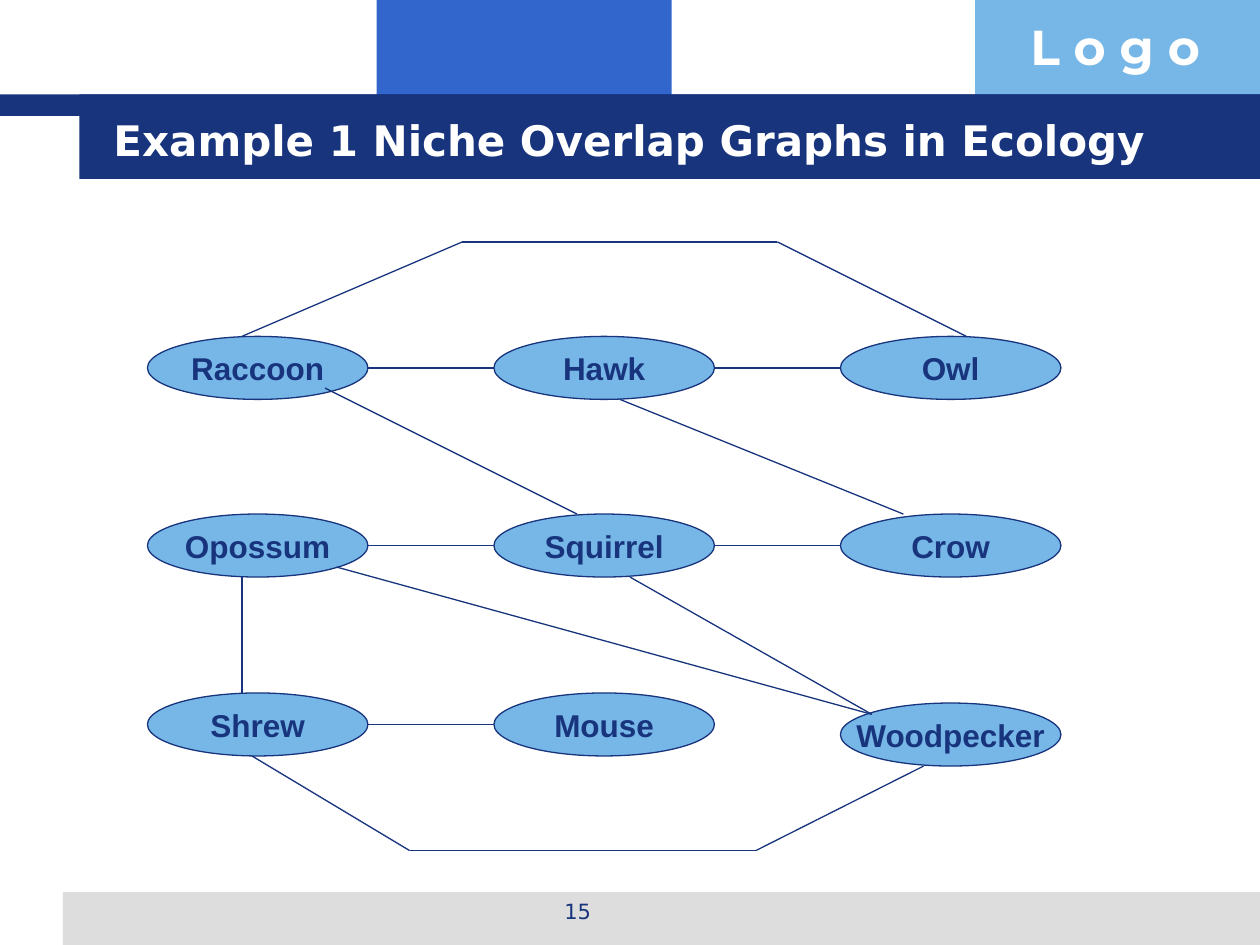
from lxml.etree import SubElement
from pptx import Presentation
from pptx.dml.color import RGBColor
from pptx.enum.shapes import MSO_CONNECTOR, MSO_SHAPE
from pptx.enum.text import MSO_ANCHOR, MSO_AUTO_SIZE, PP_ALIGN
from pptx.oxml.ns import qn
from pptx.util import Inches, Pt

COLORS = {
    "navy": "17347D",
    "blue": "3366CC",
    "sky": "77B7E7",
    "gray": "DDDDDD",
    "white": "FFFFFF",
}

BANDS = [
    ("blue", 2.99, 0, 2.34, 0.92),
    ("sky", 7.74, 0, 2.26, 0.92),
    ("gray", 0.5, 7.08, 9.5, 0.42),
    ("navy", 0, 0.75, 10, 0.17),
    ("navy", 0.63, 0.75, 9.37, 0.67),
]

COLUMN_LEFTS = [1.17, 3.92, 6.67]
ROW_TOPS = [2.67, 4.08, 5.5]
NODE_WIDTH, NODE_HEIGHT = 1.75, 0.5
SPECIES = [
    ["Raccoon", "Hawk", "Owl"],
    ["Opossum", "Squirrel", "Crow"],
    ["Shrew", "Mouse", "Woodpecker"],
]
LOWERED_TOPS = {"Woodpecker": 5.58}

ROW_LINKS = [(0, 0), (0, 1), (1, 0), (1, 1), (2, 0)]
OVERLAP_ROUTES = [
    [(1.92, 2.67), (3.67, 1.92), (6.17, 1.92), (7.67, 2.67)],
    [(2.58, 3.08), (4.58, 4.08)],
    [(4.92, 3.17), (7.17, 4.08)],
    [(1.92, 4.58), (1.92, 5.5)],
    [(2.67, 4.5), (6.92, 5.67)],
    [(5, 4.58), (6.92, 5.67)],
    [(2, 6), (3.25, 6.75), (6, 6.75), (7.33, 6.08)],
]


def color(name):
    return RGBColor.from_string(COLORS[name])


def write_text(shape, text, font_name, size, color_name, bold=False, align=PP_ALIGN.LEFT):
    para = shape.text_frame.paragraphs[0]
    para.text = text
    para.alignment = align
    para.font.name = font_name
    para.font.size = Pt(size)
    para.font.bold = bold
    para.font.color.rgb = color(color_name)


def add_band(slide, fill, left, top, width, height):
    band = slide.shapes.add_shape(
        MSO_SHAPE.RECTANGLE, Inches(left), Inches(top), Inches(width), Inches(height))
    band.shadow.inherit = False
    band.fill.solid()
    band.fill.fore_color.rgb = color(fill)
    band.line.fill.background()


def add_label(slide, left, top, width, height, *text_style, **text_options):
    box = slide.shapes.add_textbox(Inches(left), Inches(top), Inches(width), Inches(height))
    box.text_frame.word_wrap = True
    write_text(box, *text_style, **text_options)


def place_title(slide, text):
    title = slide.shapes.title
    title.left, title.top = Inches(0.8), Inches(0.8)
    title.width, title.height = Inches(8.53), Inches(0.62)
    title.text_frame.auto_size = MSO_AUTO_SIZE.NONE
    title.text_frame.vertical_anchor = MSO_ANCHOR.MIDDLE
    write_text(title, text, "DejaVu Sans", 24, "white", bold=True)
    tree = title.element.getparent()
    tree.append(title.element)


def add_species(slide, name, left, top):
    node = slide.shapes.add_shape(
        MSO_SHAPE.OVAL, Inches(left), Inches(top), Inches(NODE_WIDTH), Inches(NODE_HEIGHT))
    node.shadow.inherit = False
    node.fill.solid()
    node.fill.fore_color.rgb = color("sky")
    node.line.color.rgb = color("navy")
    node.line.width = Pt(0.75)
    node.text_frame.word_wrap = False
    node.text_frame.vertical_anchor = MSO_ANCHOR.MIDDLE
    write_text(node, name, "Arial", 18, "navy", bold=True, align=PP_ALIGN.CENTER)


def add_line(slide, start, end):
    line = slide.shapes.add_connector(
        MSO_CONNECTOR.STRAIGHT, *(Inches(value) for value in (*start, *end)))
    line.line.color.rgb = color("navy")
    line.line.width = Pt(0.75)
    SubElement(line.element.spPr, qn("a:effectLst"))


def add_route(slide, points):
    for start, end in zip(points, points[1:]):
        add_line(slide, start, end)


def add_row_link(slide, row, column):
    middle = ROW_TOPS[row] + NODE_HEIGHT / 2
    add_line(slide, (COLUMN_LEFTS[column] + NODE_WIDTH, middle),
             (COLUMN_LEFTS[column + 1], middle))


def main():
    deck = Presentation()
    deck.slide_width, deck.slide_height = Inches(10), Inches(7.5)
    slide = deck.slides.add_slide(deck.slide_layouts[5])

    for band in BANDS:
        add_band(slide, *band)
    add_label(slide, 8.08, 0.08, 1.93, 0.57, "L o g o", "Montserrat", 28, "white", bold=True)
    add_label(slide, 3.42, 7.08, 2.33, 0.35, "15", "DejaVu Sans", 12, "navy",
              align=PP_ALIGN.CENTER)
    place_title(slide, "Example 1 Niche Overlap Graphs in Ecology")

    for names, top in zip(SPECIES, ROW_TOPS):
        for name, left in zip(names, COLUMN_LEFTS):
            add_species(slide, name, left, LOWERED_TOPS.get(name, top))
    for row, column in ROW_LINKS:
        add_row_link(slide, row, column)
    for route in OVERLAP_ROUTES:
        add_route(slide, route)

    deck.save("out.pptx")


if __name__ == "__main__":
    main()
